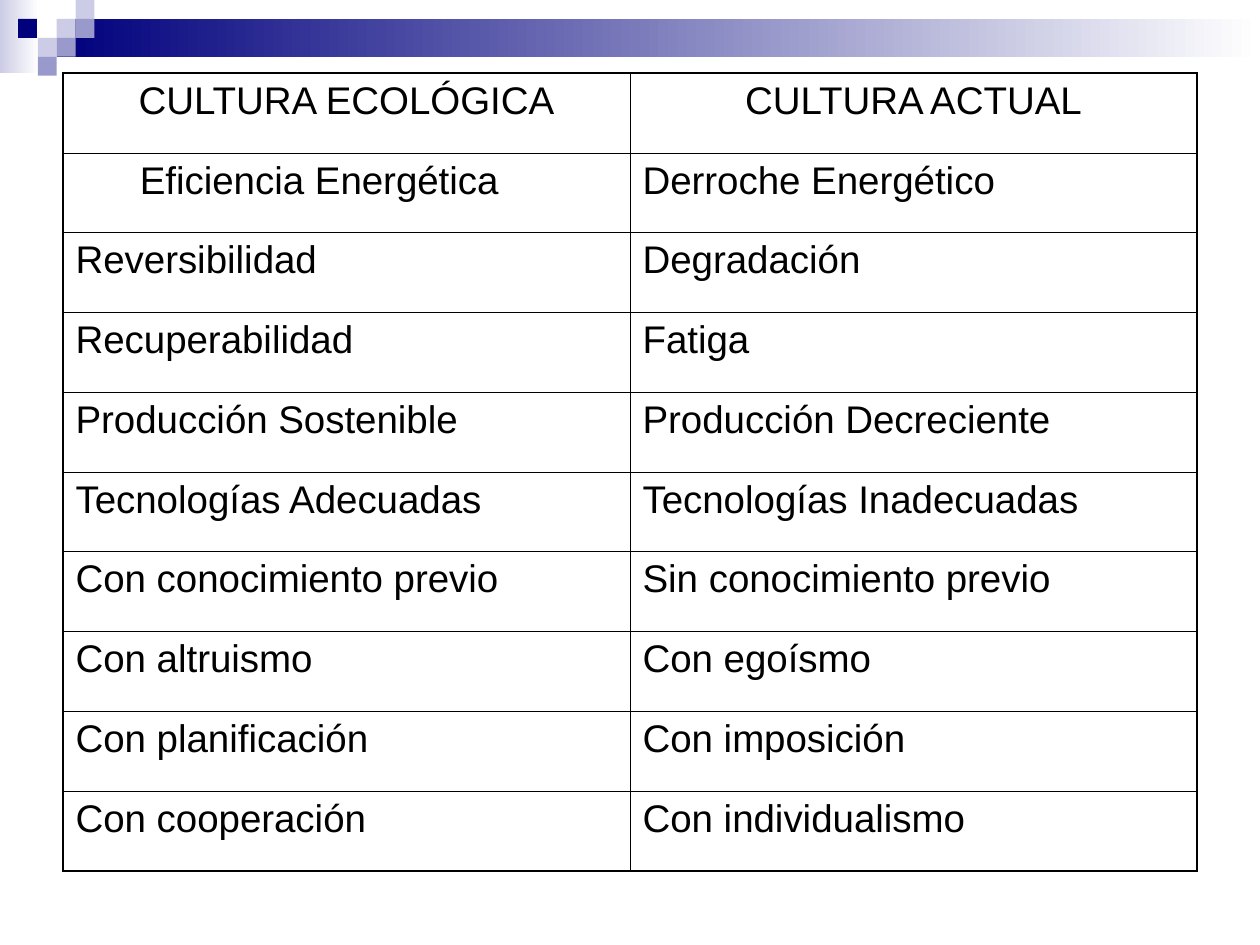
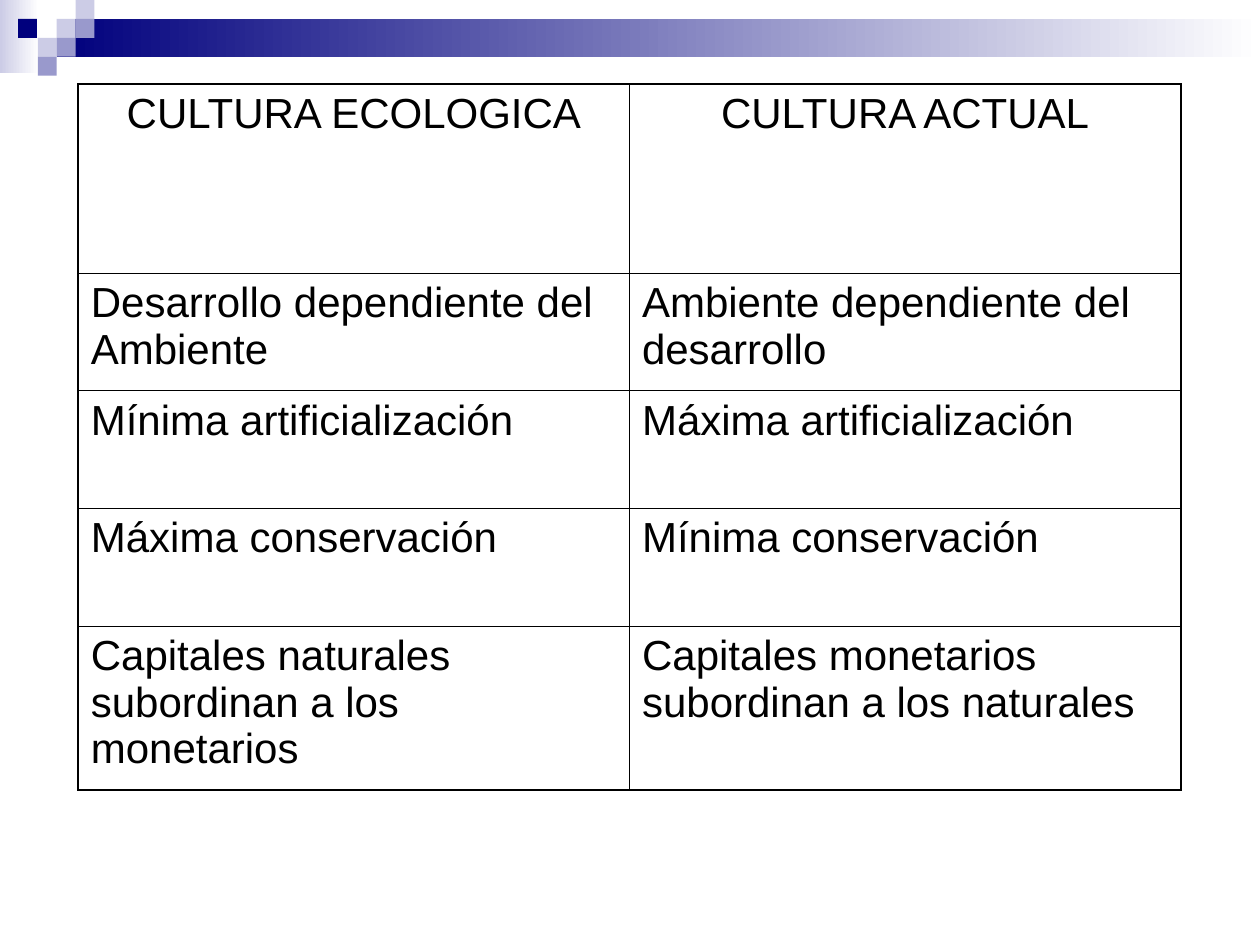
import pptx
import pptx.dml.color
import pptx.enum.shapes
import pptx.enum.text
import pptx.oxml.ns
import pptx.util
from lxml import etree

Pt = pptx.util.Pt
RGBColor = pptx.dml.color.RGBColor

NAVY = RGBColor(0x00, 0x00, 0x7D)
LAVENDER = RGBColor(0xCC, 0xCC, 0xE6)
PERIWINKLE = RGBColor(0x99, 0x99, 0xCC)
WHITE = RGBColor(0xFF, 0xFF, 0xFF)
BLACK = RGBColor(0x00, 0x00, 0x00)

FONT = "Arial"
SQUARE = 10.8
OUTER_LINE = 1.08
INNER_LINE = 0.45
CELL_INSET = 7.2

# Column and row of each square, in steps of one square
MOSAIC = [
    (3, 1, LAVENDER),
    (4, 0, LAVENDER),
    (4, 1, PERIWINKLE),
    (2, 2, LAVENDER),
    (3, 2, PERIWINKLE),
    (2, 3, PERIWINKLE),
]

ENERGY_ROWS = [
    ("CULTURA ECOLÓGICA", "CULTURA ACTUAL"),
    ("Eficiencia Energética", "Derroche Energético"),
    ("Reversibilidad", "Degradación"),
    ("Recuperabilidad", "Fatiga"),
    ("Producción Sostenible", "Producción Decreciente"),
    ("Tecnologías Adecuadas", "Tecnologías Inadecuadas"),
    ("Con conocimiento previo", "Sin conocimiento previo"),
    ("Con altruismo", "Con egoísmo"),
    ("Con planificación", "Con imposición"),
    ("Con cooperación", "Con individualismo"),
]

ENVIRONMENT_ROWS = [
    ("CULTURA ECOLOGICA", "CULTURA ACTUAL"),
    ("Desarrollo dependiente del Ambiente", "Ambiente dependiente del desarrollo"),
    ("Mínima artificialización", "Máxima artificialización"),
    ("Máxima conservación", "Mínima conservación"),
    ("Capitales naturales subordinan a los monetarios",
     "Capitales monetarios subordinan a los naturales"),
]


def add_block(slide, left, top, width, height, color, fade_to=None):
    """Add a borderless rectangle, solid or fading from left to right."""
    block = slide.shapes.add_shape(
        pptx.enum.shapes.MSO_SHAPE.RECTANGLE, Pt(left), Pt(top), Pt(width), Pt(height))
    block.shadow.inherit = False
    block.line.fill.background()
    if fade_to is None:
        block.fill.solid()
        block.fill.fore_color.rgb = color
    else:
        block.fill.gradient()
        block.fill.gradient_angle = 0
        for stop, stop_color in zip(block.fill.gradient_stops, (color, fade_to)):
            stop.color.rgb = stop_color


def add_header_band(slide):
    add_block(slide, 0, 0, 22.3, 41.8, LAVENDER, WHITE)
    add_block(slide, 3 * SQUARE, SQUARE, 687.6, 2 * SQUARE, NAVY, WHITE)
    for column, row, color in MOSAIC:
        add_block(slide, column * SQUARE, row * SQUARE, SQUARE, SQUARE, color)
    add_block(slide, 10.3, SQUARE, SQUARE, SQUARE, NAVY)


def set_borders(cell, widths):
    """Draw the left, right, top and bottom borders, placed ahead of the fill."""
    properties = cell._tc.get_or_add_tcPr()
    for position, (side, width) in enumerate(zip("LRTB", widths)):
        border = etree.Element(pptx.oxml.ns.qn(f"a:ln{side}"), w=str(Pt(width)))
        fill = etree.SubElement(border, pptx.oxml.ns.qn("a:solidFill"))
        etree.SubElement(fill, pptx.oxml.ns.qn("a:srgbClr"), val=str(BLACK))
        properties.insert(position, border)


def fill_cell(cell, text, size, is_heading):
    cell.fill.background()
    paragraph = cell.text_frame.paragraphs[0]
    if is_heading:
        paragraph.alignment = pptx.enum.text.PP_ALIGN.CENTER
    run = paragraph.add_run()
    run.text = text
    run.font.name = FONT
    run.font.size = Pt(size)
    run.font.color.rgb = BLACK


def add_comparison(slide, left, top, width, row_heights, rows, size):
    last_row, last_column = len(rows) - 1, len(rows[0]) - 1
    table = slide.shapes.add_table(
        len(rows), len(rows[0]), Pt(left), Pt(top), Pt(width), Pt(sum(row_heights))).table
    table.first_row = table.horz_banding = False
    for r, (height, texts) in enumerate(zip(row_heights, rows)):
        table.rows[r].height = Pt(height)
        for c, text in enumerate(texts):
            cell = table.cell(r, c)
            fill_cell(cell, text, size, is_heading=r == 0)
            on_edge = (c == 0, c == last_column, r == 0, r == last_row)
            set_borders(cell, [OUTER_LINE if edge else INNER_LINE for edge in on_edge])
    return table


def main():
    deck = pptx.Presentation()
    deck.slide_width, deck.slide_height = Pt(720), Pt(540)
    blank = deck.slide_layouts[6]

    energy = deck.slides.add_slide(blank)
    add_header_band(energy)
    comparison = add_comparison(energy, 36, 41.8, 648, [45.6] * 10, ENERGY_ROWS, 22)
    comparison.cell(1, 0).margin_left = Pt(CELL_INSET + 36.7)

    environment = deck.slides.add_slide(blank)
    add_header_band(environment)
    add_comparison(environment, 44.7, 48.1, 630, [108, 67.2, 67.2, 67.2, 93.6],
                   ENVIRONMENT_ROWS, 24)

    deck.save("out.pptx")


if __name__ == "__main__":
    main()
